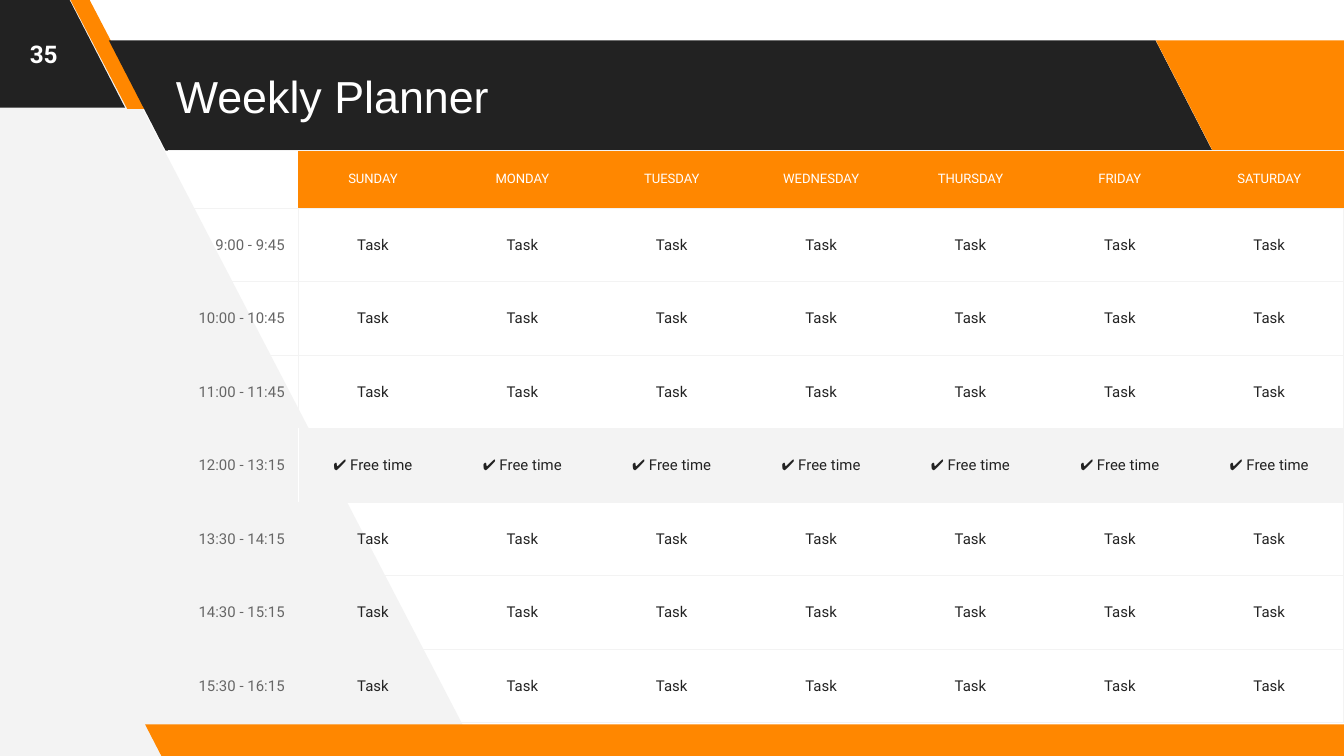
from lxml.etree import SubElement
from pptx import Presentation
from pptx.dml.color import RGBColor
from pptx.enum.shapes import MSO_SHAPE
from pptx.enum.text import MSO_ANCHOR, PP_ALIGN
from pptx.oxml.ns import qn
from pptx.util import Inches, Pt

ORANGE = RGBColor(0xFF, 0x87, 0x00)
DARK = RGBColor(0x22, 0x22, 0x22)
GRAY = RGBColor(0x66, 0x66, 0x66)
PALE = RGBColor(0xF3, 0xF3, 0xF3)
WHITE = RGBColor(0xFF, 0xFF, 0xFF)

DAYS = ["SUNDAY", "MONDAY", "TUESDAY", "WEDNESDAY", "THURSDAY", "FRIDAY", "SATURDAY"]
TIMES = ["9:00 - 9:45", "10:00 - 10:45", "11:00 - 11:45", "12:00 - 13:15",
         "13:30 - 14:15", "14:30 - 15:15", "15:30 - 16:15"]
BREAK_TIME = "12:00 - 13:15"

BANDS = [
    (-0.99, -0.02, 1.92, 0.82, 0.515, DARK),
    (0.52, -0.01, 0.57, 0.82, 0.75, ORANGE),
    (0.81, 0.3, 8.21, 0.82, 0.515, DARK),
    (8.6, 0.3, 1.92, 0.82, 0.515, ORANGE),
    (1.08, 5.39, 9.15, 0.25, 0.515, ORANGE),
]


def paint(shape, color):
    shape.shadow.inherit = False
    shape.fill.solid()
    shape.fill.fore_color.rgb = color
    shape.line.fill.background()


def add_slope(slide):
    outline = slide.shapes.build_freeform(Inches(3.56), Inches(5.62))
    corners = [(0.62, -0.04), (-0.06, -0.04), (-0.02, 5.66)]
    outline.add_line_segments([(Inches(x), Inches(y)) for x, y in corners])
    paint(outline.convert_to_shape(), PALE)


def add_band(slide, left, top, width, height, slant, color):
    band = slide.shapes.add_shape(MSO_SHAPE.PARALLELOGRAM, Inches(left), Inches(top),
                                  Inches(width), Inches(height))
    band.adjustments[0] = slant
    band.element.spPr.xfrm.set("flipH", "1")
    paint(band, color)


def write(frame, text, size, color, align, font="Roboto", bold=False):
    paragraph = frame.paragraphs[0]
    paragraph.text = text
    paragraph.alignment = align
    paragraph.font.size = Pt(size)
    paragraph.font.name = font
    paragraph.font.bold = bold
    paragraph.font.color.rgb = color


def add_label(slide, left, top, width, height, *style, **options):
    label = slide.shapes.add_textbox(Inches(left), Inches(top), Inches(width), Inches(height))
    frame = label.text_frame
    frame.word_wrap = True
    frame.vertical_anchor = MSO_ANCHOR.MIDDLE
    frame.margin_left = frame.margin_right = Inches(0.1)
    frame.margin_top = frame.margin_bottom = Inches(0.1)
    write(frame, *style, **options)


def set_borders(cell, left=None, right=None, top=PALE, bottom=PALE):
    properties = cell._tc.get_or_add_tcPr()
    for tag, color in (("lnL", left), ("lnR", right), ("lnT", top), ("lnB", bottom)):
        border = SubElement(properties, qn(f"a:{tag}"), w=str(Pt(0.75)))
        if color is None:
            SubElement(border, qn("a:noFill"))
        else:
            fill = SubElement(border, qn("a:solidFill"))
            SubElement(fill, qn("a:srgbClr"), val=str(color))


def fill_cell(cell, text, size, color, align, background=None, **borders):
    cell.vertical_anchor = MSO_ANCHOR.MIDDLE
    cell.margin_left = cell.margin_right = Inches(0.1)
    cell.margin_top = cell.margin_bottom = Inches(0.1)
    set_borders(cell, **borders)
    if background is None:
        cell.fill.background()
    else:
        cell.fill.solid()
        cell.fill.fore_color.rgb = background
    write(cell.text_frame, text, size, color, align)


def add_planner(slide):
    width, height, time_width, header_height = 8.75, 4.26, 0.97, 0.43
    planner = slide.shapes.add_table(len(TIMES) + 1, len(DAYS) + 1, Inches(1.25), Inches(1.12),
                                     Inches(width), Inches(height)).table
    planner.first_row = planner.horz_banding = False
    for column in planner.columns:
        column.width = Inches((width - time_width) / len(DAYS))
    for row in planner.rows:
        row.height = Inches((height - header_height) / len(TIMES))
    planner.columns[0].width = Inches(time_width)
    planner.rows[0].height = Inches(header_height)

    fill_cell(planner.cell(0, 0), "", 7, WHITE, PP_ALIGN.CENTER)
    for column, day in enumerate(DAYS, 1):
        fill_cell(planner.cell(0, column), day, 7, WHITE, PP_ALIGN.CENTER, ORANGE)

    for row, time in enumerate(TIMES, 1):
        is_break = time == BREAK_TIME
        task = "✔ Free time" if is_break else "Task"
        background = PALE if is_break else None
        divider = WHITE if is_break else PALE
        fill_cell(planner.cell(row, 0), time, 8, GRAY, PP_ALIGN.RIGHT, background,
                  left=PALE, right=divider)
        for column in range(1, len(DAYS) + 1):
            fill_cell(planner.cell(row, column), task, 8, DARK, PP_ALIGN.CENTER, background,
                      left=divider if column == 1 else None,
                      right=PALE if column == len(DAYS) else None)


def main():
    presentation = Presentation()
    presentation.slide_width = Inches(10)
    presentation.slide_height = Inches(10 * 9 / 16)
    slide = presentation.slides.add_slide(presentation.slide_layouts[6])
    add_slope(slide)
    for band in BANDS:
        add_band(slide, *band)
    add_label(slide, 1.21, 0.3, 7.35, 0.82, "Weekly Planner", 24, WHITE, PP_ALIGN.LEFT, font="Arial")
    add_label(slide, 0, 0, 0.65, 0.8, "35", 13, WHITE, PP_ALIGN.CENTER, bold=True)
    add_planner(slide)
    presentation.save("out.pptx")


if __name__ == "__main__":
    main()
